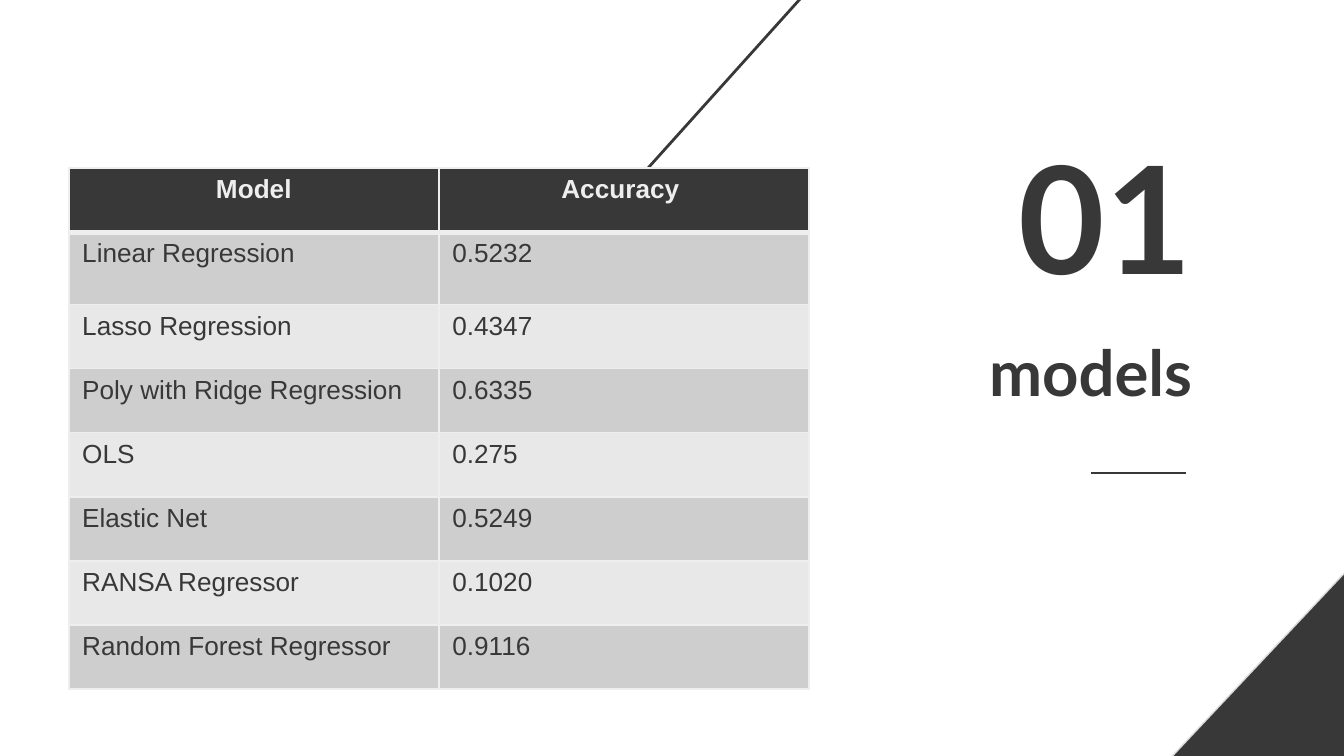
import dataclasses

import lxml.etree
import pptx
import pptx.dml.color
import pptx.enum.shapes
import pptx.enum.text
import pptx.oxml.ns
import pptx.util

Cm = pptx.util.Cm
Pt = pptx.util.Pt
qn = pptx.oxml.ns.qn
ALIGN = pptx.enum.text.PP_ALIGN


@dataclasses.dataclass(frozen=True)
class Theme:
    dark: str = "383838"
    pale: str = "EEEEEE"
    edge: str = "DBDBDB"
    bands: tuple = ("CECECE", "E8E8E8")
    head: str = "Lato"
    body: str = "Arial"
    huge: int = 80
    title: int = 34
    cell: int = 14
    rule: float = 1.5


THEME = Theme()

ROWS = [
    ("Model", "Accuracy "),
    ("Linear Regression", "0.5232"),
    ("Lasso Regression", "0.4347"),
    ("Poly with Ridge Regression", "0.6335"),
    ("OLS", "0.275"),
    ("Elastic Net", "0.5249"),
    ("RANSA Regressor", "0.1020"),
    ("Random Forest Regressor", "0.9116"),
]


def color(code):
    return pptx.dml.color.RGBColor.from_string(code)


def add_run(para, text, font, size, code, bold, align):
    para.alignment = align
    run = para.add_run()
    run.text = text
    run.font.name = font
    run.font.size = Pt(size)
    run.font.bold = bold
    run.font.color.rgb = color(code)


def add_line(slide, x1, y1, x2, y2):
    line = slide.shapes.add_connector(
        pptx.enum.shapes.MSO_CONNECTOR.STRAIGHT, Cm(x1), Cm(y1), Cm(x2), Cm(y2))
    line.line.color.rgb = color(THEME.dark)
    line.line.width = Pt(THEME.rule)
    lxml.etree.SubElement(line._element.spPr, qn("a:effectLst"))


def add_label(slide, text, size, left, top, width, height):
    box = slide.shapes.add_textbox(Cm(left), Cm(top), Cm(width), Cm(height))
    frame = box.text_frame
    frame.word_wrap = True
    frame.auto_size = pptx.enum.text.MSO_AUTO_SIZE.NONE
    frame.vertical_anchor = pptx.enum.text.MSO_ANCHOR.MIDDLE
    frame.margin_left = frame.margin_right = Cm(0.25)
    frame.margin_top = frame.margin_bottom = Cm(0.25)
    add_run(frame.paragraphs[0], text, THEME.head, size, THEME.dark, True, ALIGN.RIGHT)


def set_edges(cell, top, bottom):
    """Cell borders come before the fill in the cell properties."""
    props = cell._tc.get_or_add_tcPr()
    sides = (("L", 1), ("R", 1), ("T", top), ("B", bottom))
    for spot, (side, width) in enumerate(sides):
        edge = lxml.etree.Element(qn("a:ln" + side), w=str(Pt(width)))
        fill = lxml.etree.SubElement(edge, qn("a:solidFill"))
        lxml.etree.SubElement(fill, qn("a:srgbClr"), val=THEME.pale)
        props.insert(spot, edge)


def draw_decor(slide, width, height):
    # Long diagonal running behind the table
    add_line(slide, width - 7.14, -3.51, width - 17.58, height - 6.19)
    # Dark corner at the bottom right
    corner = slide.shapes.add_shape(
        pptx.enum.shapes.MSO_SHAPE.RIGHT_TRIANGLE,
        Cm(width - 3.4), Cm(height - 3.67), Cm(3.61), Cm(3.84))
    corner.shadow.inherit = False
    corner.fill.solid()
    corner.fill.fore_color.rgb = color(THEME.dark)
    corner.line.color.rgb = color(THEME.edge)
    corner.line.width = Pt(0.75)
    corner._element.spPr.find(qn("a:xfrm")).set("flipH", "1")


def draw_heading(slide, left, top, width):
    high = 2.39
    add_label(slide, "models", THEME.title, left, top + 2.95, width, high)
    add_label(slide, "01", THEME.huge, left, top, width, high)
    # Short rule under the title
    end = left + width - 0.36
    add_line(slide, end - 1.8, top + 6.07, end, top + 6.07)


def draw_table(slide, left, top, width, height):
    extra = 0.16  # the first data row is a little taller
    high = (height - extra) / len(ROWS)
    table = slide.shapes.add_table(
        len(ROWS), 2, Cm(left), Cm(top), Cm(width), Cm(height)).table
    for col in table.columns:
        col.width = Cm(width / 2)
    for r, texts in enumerate(ROWS):
        table.rows[r].height = Cm(high + (extra if r == 1 else 0))
        first = r == 0
        for c, text in enumerate(texts):
            cell = table.cell(r, c)
            cell.fill.solid()
            cell.fill.fore_color.rgb = color(
                THEME.dark if first else THEME.bands[(r - 1) % 2])
            set_edges(cell, 3 if r == 1 else 1, 3 if first else 1)
            add_run(cell.text_frame.paragraphs[0], text, THEME.body, THEME.cell,
                    THEME.pale if first else THEME.dark, first,
                    ALIGN.CENTER if first else ALIGN.LEFT)


def main():
    deck = pptx.Presentation()
    width, height = 25.4, 14.29
    deck.slide_width, deck.slide_height = Cm(width), Cm(height)
    slide = deck.slides.add_slide(deck.slide_layouts[6])
    draw_decor(slide, width, height)
    draw_heading(slide, 13.28, 2.87, 9.5)
    draw_table(slide, 1.3, 3.18, 13.99, 9.84)
    deck.save("out.pptx")


if __name__ == "__main__":
    main()
